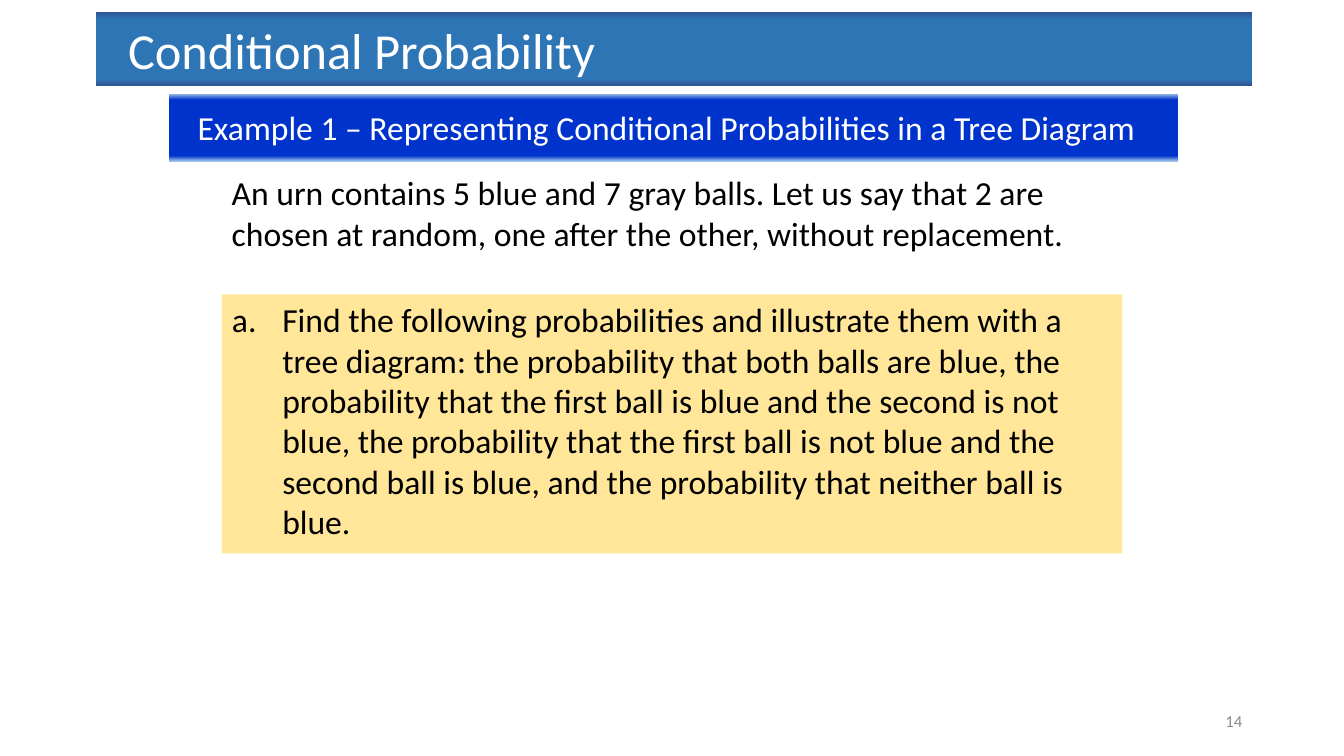
"""Builds the slide that introduces a conditional probability example."""
from lxml.etree import SubElement
from pptx import Presentation
from pptx.dml.color import RGBColor
from pptx.enum.shapes import MSO_SHAPE
from pptx.enum.text import MSO_ANCHOR as Anchor, MSO_AUTO_SIZE as AutoSize, PP_ALIGN as Align
from pptx.oxml.ns import qn
from pptx.util import Inches, Pt


def rgb(code):
    return RGBColor.from_string(code)


def write(part, box, text, size, color, anchor=Anchor.TOP, align=Align.LEFT, indent=0.1, after=0):
    for side, length in zip(("left", "top", "width", "height"), box):
        setattr(part, side, Inches(length))
    frame_format = {"word_wrap": True, "auto_size": AutoSize.NONE, "vertical_anchor": anchor,
                    "margin_left": Inches(indent), "margin_right": Inches(0.1),
                    "margin_top": Inches(0.05), "margin_bottom": Inches(0.05)}
    for name, value in frame_format.items():
        setattr(part.text_frame, name, value)
    paragraph = part.text_frame.paragraphs[0]
    run = paragraph.add_run()
    run.text = text
    for name, value in {"alignment": align, "space_before": Pt(0), "space_after": Pt(after)}.items():
        setattr(paragraph, name, value)
    for name, value in {"name": "Calibri", "size": Pt(size)}.items():
        setattr(run.font, name, value)
    run.font.color.rgb = rgb(color)
    return paragraph


deck = Presentation()
deck.slide_width, deck.slide_height = Inches(13.33), Inches(7.5)
slide = deck.slides.add_slide(deck.slide_layouts[1])
heading, question = slide.placeholders
column_left, column_width = 2.2, 8.93

write(heading, (0.95, 0.12, 11.47, 0.73), "Conditional Probability", 36, "FFFFFF",
      anchor=Anchor.MIDDLE, indent=0.32)

example = slide.shapes.add_shape(MSO_SHAPE.RECTANGLE, 0, 0, 0, 0)
example.shadow.inherit = False
example.line.fill.background()
write(example, (1.68, 0.93, 10, 0.67),
      "Example 1 – Representing Conditional Probabilities in a Tree Diagram", 24, "FFFFFF",
      anchor=Anchor.MIDDLE, indent=0.28)

banners = [(heading, "2F5597", "2E75B6", (11, 91)), (example, "9DC3E6", "0033CC", (9, 92))]
for banner, edge, middle, (start, end) in banners:
    banner.fill.gradient()
    banner.fill.gradient_angle = 270
    stops = banner.element.spPr.find(qn("a:gradFill")).find(qn("a:gsLst"))
    for old_stop in list(stops):
        stops.remove(old_stop)
    for share, color in ((0, edge), (start, middle), (end, middle), (100, edge)):
        stop = SubElement(stops, qn("a:gs"), pos=str(share * 1000))
        SubElement(stop, qn("a:srgbClr"), val=color)

urn = slide.shapes.add_textbox(0, 0, 0, 0)
write(urn, (column_left, 1.66, column_width, 1.05),
      "An urn contains 5 blue and 7 gray balls. Let us say that 2 are chosen at random, "
      "one after the other, without replacement.", 24, "000000", after=6)

question.fill.solid()
question.fill.fore_color.rgb = rgb("FFE699")
task = write(question, (column_left, 2.92, column_width, 2.57),
             "Find the following probabilities and illustrate them with a tree diagram: "
             "the probability that both balls are blue, the probability that the first ball is blue "
             "and the second is not blue, the probability that the first ball is not blue and the "
             "second ball is blue, and the probability that neither ball is blue.",
             24, "000000", after=6)
numbering = task._p.get_or_add_pPr()
for name, length in {"marL": 0.5, "indent": -0.5}.items():
    numbering.set(name, str(Inches(length)))
SubElement(numbering, qn("a:buFont"), typeface="+mj-lt")
SubElement(numbering, qn("a:buAutoNum"), type="alphaLcPeriod")
task.font.size = Pt(24)

page_number = slide.shapes.add_textbox(0, 0, 0, 0)
write(page_number, (9.42, 6.95, 3, 0.4), "14", 12, "8C8C8C", anchor=Anchor.MIDDLE, align=Align.RIGHT)

deck.save("out.pptx")
